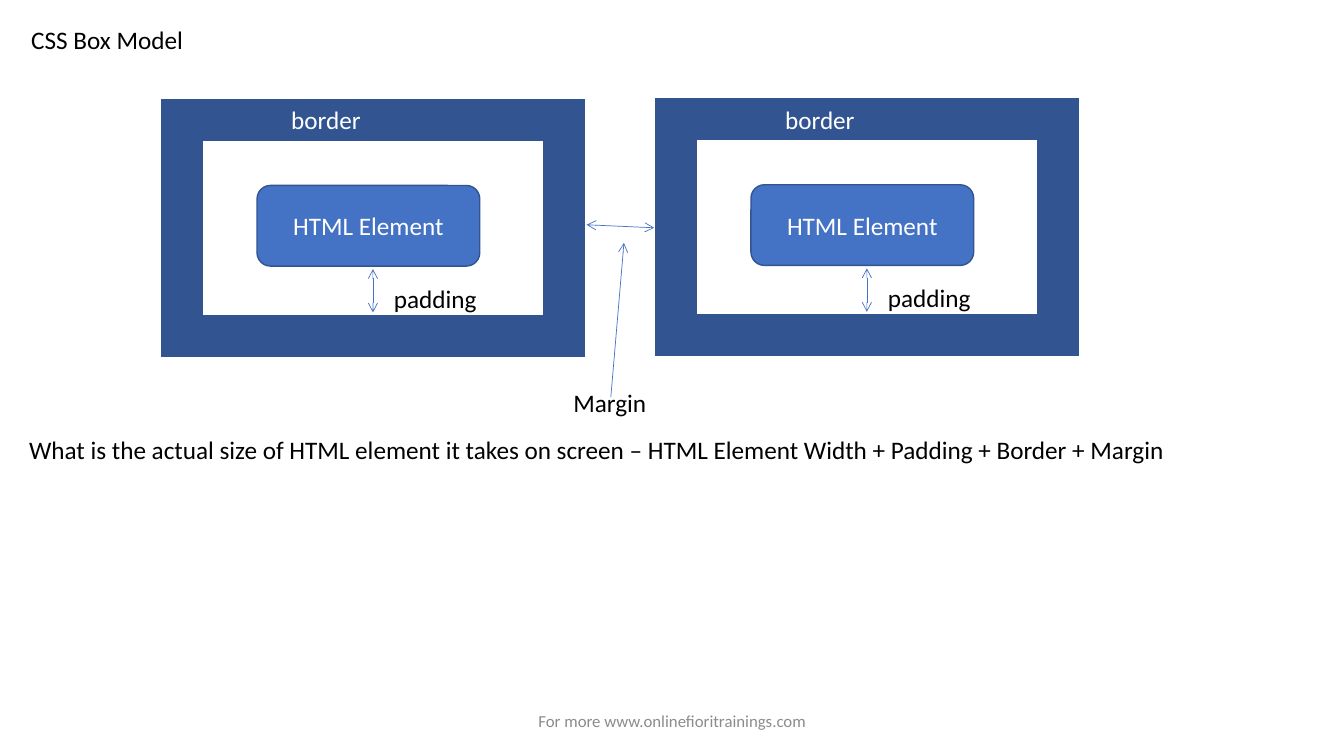
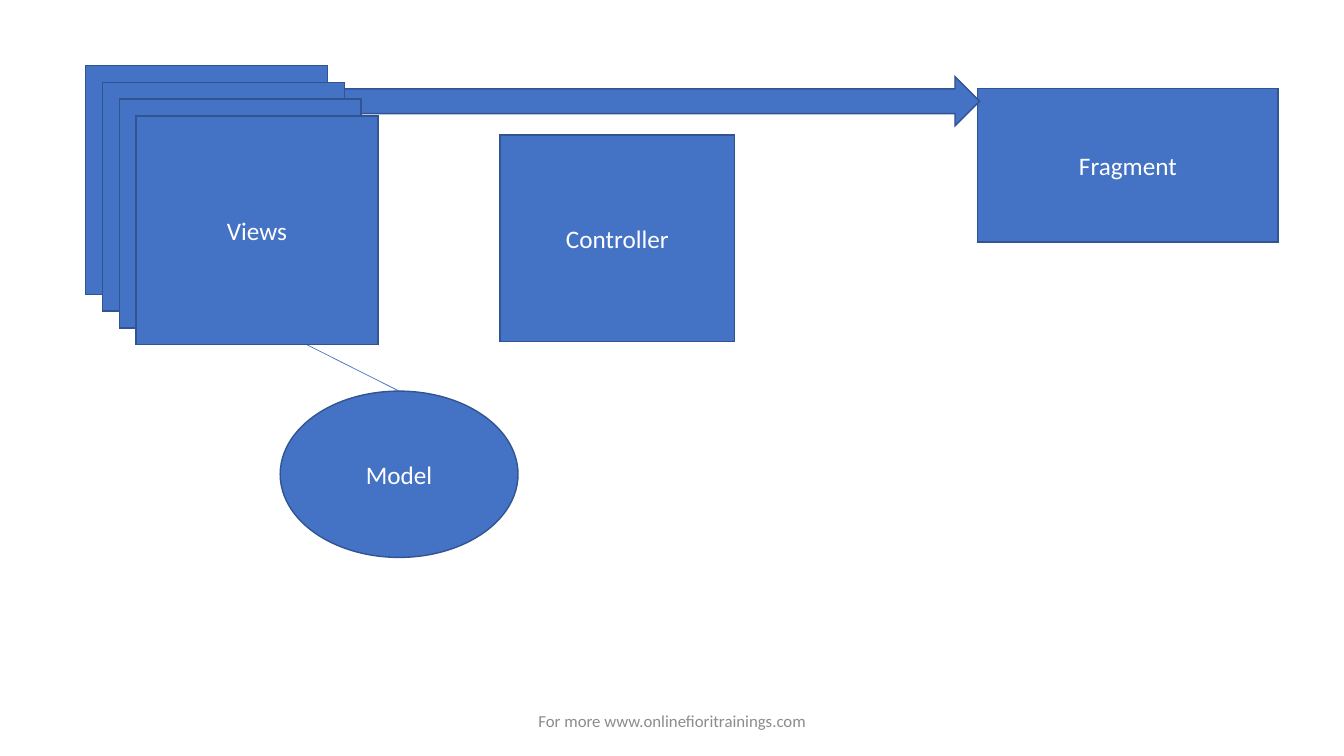
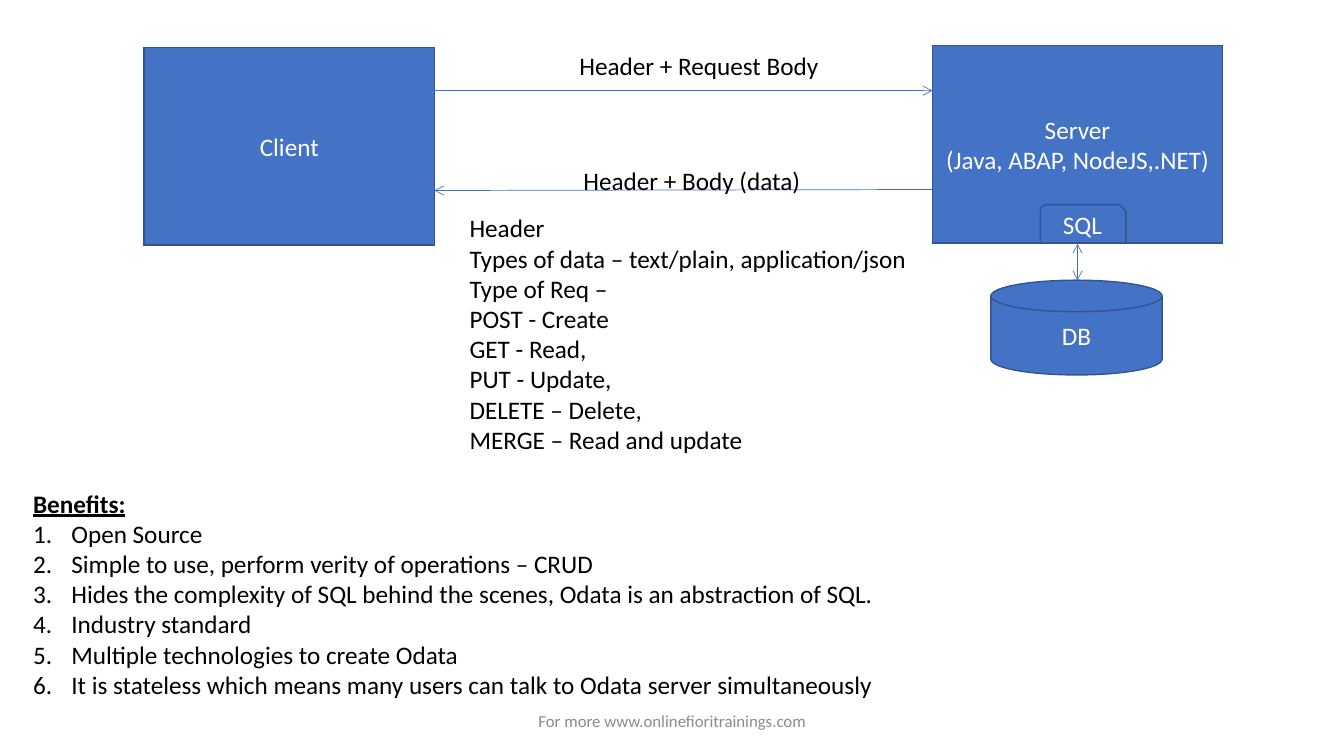
from dataclasses import dataclass

from lxml import etree
from pptx import Presentation, util as u
from pptx.dml.color import RGBColor
from pptx.enum import shapes as es, text as et
from pptx.oxml.ns import qn

COLS, ROWS = 80, 45  # square cells, six to the inch
KIND = es.MSO_SHAPE
LEFT, MID = et.PP_ALIGN.LEFT, et.PP_ALIGN.CENTER


@dataclass(frozen=True)
class Theme:
    font: str = "Calibri"
    body: int = 18
    small: int = 12
    blue: str = "4472C4"
    navy: str = "325491"
    white: str = "FFFFFF"
    black: str = "000000"
    grey: str = "8C8C8C"
    thin: float = 0.5
    edge: float = 1
    thick: float = 30


@dataclass(frozen=True)
class Box:
    """An area of the grid, in columns and rows."""
    x: float
    y: float
    w: float = COLS
    h: float = ROWS

    def sub(self, x, y, w, h):
        return Box(self.x + x, self.y + y, w, h)

    def spot(self, x, y):
        return self.x + x, self.y + y

    def place(self):
        return [cell(n) for n in (self.x, self.y, self.w, self.h)]


T = Theme()
PAGE = Box(0, 0)


def cell(n):
    return u.Inches(n / 6)


def rgb(code):
    return RGBColor.from_string(code)


def write(frame, text, color, align=LEFT, anchor=et.MSO_ANCHOR.TOP, size=T.body):
    frame.text = text
    frame.word_wrap = True
    frame.auto_size = et.MSO_AUTO_SIZE.NONE
    frame.vertical_anchor = anchor
    for para in frame.paragraphs:
        para.alignment = align
        for run in para.runs:
            run.font.name, run.font.size = T.font, u.Pt(size)
            run.font.color.rgb = rgb(color)
    return frame


def label(slide, box, text, color=T.black, **style):
    area = slide.shapes.add_textbox(*box.place())
    return write(area.text_frame, text, color, **style)


def block(slide, box, text="", kind=KIND.RECTANGLE, fill=T.blue, width=T.edge):
    shape = slide.shapes.add_shape(kind, *box.place())
    shape.shadow.inherit = False
    if fill:
        shape.fill.solid()
        shape.fill.fore_color.rgb = rgb(fill)
    else:
        shape.fill.background()
    shape.line.color.rgb = rgb(T.navy)
    shape.line.width = u.Pt(width)
    etree.SubElement(shape.line._get_or_add_ln(), qn("a:miter"), lim="800000")
    if text:
        write(shape.text_frame, text, T.white, MID, et.MSO_ANCHOR.MIDDLE)


def arrow(slide, start, end, both=False):
    ends = [cell(n) for n in (*start, *end)]
    link = slide.shapes.add_connector(es.MSO_CONNECTOR.STRAIGHT, *ends)
    link.line.color.rgb = rgb(T.blue)
    link.line.width = u.Pt(T.thin)
    ln = link.line._get_or_add_ln()
    for tag in ("a:headEnd", "a:tailEnd")[0 if both else 1:]:
        etree.SubElement(ln, qn(tag), type="arrow")
    etree.SubElement(link._element.spPr, qn("a:effectLst"))


def number(para):
    props = para._p.get_or_add_pPr()
    props.set("marL", str(u.Inches(0.38)))
    props.set("indent", str(-u.Inches(0.38)))
    etree.SubElement(props, qn("a:buFont"), typeface="+mj-lt")
    etree.SubElement(props, qn("a:buAutoNum"), type="arabicPeriod")


def start(deck, title=None):
    """Add a slide with the shared footer and, if given, a title."""
    slide = deck.slides.add_slide(deck.slide_layouts[5 if title else 6])
    label(slide, PAGE.sub(26.52, 41.7, 27, 2.4),
          "For more www.onlinefioritrainings.com", T.grey,
          align=MID, anchor=et.MSO_ANCHOR.MIDDLE, size=T.small)
    if title:
        head = slide.shapes.title
        head.left, head.top, head.width, head.height = PAGE.sub(1.26, 1.14, 23.82, 2.4).place()
        write(head.text_frame, title, T.black)
    return slide


def frame(slide, box):
    """Draw one element with its padding and border."""
    block(slide, box, fill=None, width=T.thick)
    block(slide, box.sub(4.44, 3.9, 13.26, 4.8), "HTML Element", KIND.ROUNDED_RECTANGLE)
    label(slide, box.sub(5.88, -1.2, 15.48, 2.4), "border", T.white)
    arrow(slide, box.spot(11.34, 8.88), box.spot(11.34, 11.46), both=True)
    label(slide, box.sub(12, 9.42, 8.88, 2.4), "padding")


def margin(slide, box):
    """Mark the gap between two frames; the box is the gap."""
    arrow(slide, box.spot(1.32, 6.24), box.spot(5.34, 6.42), both=True)
    arrow(slide, box.spot(2.76, 16.5), box.spot(3.54, 7.32))
    label(slide, box.sub(-0.06, 15.6, 10.38, 2.4), "Margin")


def sizing(deck):
    slide = start(deck, "CSS Box Model")
    for x, y in ((10.86, 7.14), (40.26, 7.1)):
        frame(slide, PAGE.sub(x, y, 22.74, 12.84))
    margin(slide, PAGE.sub(33.6, 7.14, 6.66, 12.84))
    label(slide, PAGE.sub(1.14, 25.56, 77.82, 4.26),
          "What is the actual size of HTML element it takes on screen – "
          "HTML Element Width + Padding + Border + Margin")


def views(deck):
    slide = start(deck)
    cards = [PAGE.sub(5.1 + i, 3.9 + i, 14.4, 13.62) for i in range(4)]
    block(slide, cards[0])
    block(slide, PAGE.sub(29.76, 8.04, 13.98, 12.3), "Controller")
    block(slide, PAGE.sub(58.2, 5.28, 17.88, 9.12), "Fragment")
    block(slide, PAGE.sub(16.68, 23.28, 14.16, 9.9), "Model", KIND.OVAL)
    arrow(slide, PAGE.spot(23.76, 23.28), cards[0].spot(7.2, 13.62))
    block(slide, PAGE.sub(18.36, 4.56, 39.96, 2.94), kind=KIND.RIGHT_ARROW)
    for card, text in zip(cards[1:], ("", "", "Views")):
        block(slide, card, text)


def server(slide, box):
    """Draw the server with its query layer and database."""
    block(slide, box, "Server\n(Java, ABAP, NodeJS,.NET)")
    block(slide, box.sub(3.48, 13.98, 10.2, 5.64), "DB", KIND.FLOWCHART_MAGNETIC_DISK)
    arrow(slide, box.spot(8.64, 11.82), box.spot(8.64, 13.98), both=True)
    block(slide, box.sub(6.42, 9.48, 5.1, 2.28), "SQL", KIND.SNIP_ROUND_RECTANGLE)


def calls(slide, box):
    """Draw the request and the reply across the gap."""
    arrow(slide, box.spot(0, 2.7), box.spot(box.w, 2.7))
    arrow(slide, box.spot(box.w, 8.58), box.spot(0, 8.64))
    label(slide, box.sub(8.04, 0, 19.08, 2.4), "Header + Request Body")
    label(slide, box.sub(8.28, 6.84, 17.82, 2.4), "Header + Body (data)")
    label(slide, box.sub(1.5, 9.66, 33.48, 15.12), "\n".join((
        "Header",
        "Types of data – text/plain, application/json",
        "Type of Req –",
        "POST - Create",
        "GET - Read,",
        "PUT - Update,",
        "DELETE – Delete,",
        "MERGE – Read and update")))


def gains(slide, box):
    """Write the numbered list of benefits."""
    area = label(slide, box, "\n".join((
        "Benefits:",
        "Open Source",
        "Simple to use, perform verity of operations – CRUD",
        "Hides the complexity of SQL behind the scenes, Odata is an abstraction of SQL.",
        "Industry standard",
        "Multiple technologies to create Odata",
        "It is stateless which means many users can talk to Odata server simultaneously")))
    head, *items = area.paragraphs
    head.runs[0].font.bold = head.runs[0].font.underline = True
    for item in items:
        number(item)


def odata(deck):
    slide = start(deck)
    block(slide, PAGE.sub(8.58, 2.82, 17.28, 11.76), "Client")
    server(slide, PAGE.sub(55.5, 2.7, 17.28, 11.76))
    calls(slide, PAGE.sub(25.86, 2.7, 29.64, 11.76))
    gains(slide, PAGE.sub(1.38, 28.74, 77.46, 16))


def main():
    deck = Presentation()
    deck.slide_width, deck.slide_height = cell(COLS), cell(ROWS)
    for build in (sizing, views, odata):
        build(deck)
    deck.save("out.pptx")


if __name__ == "__main__":
    main()
